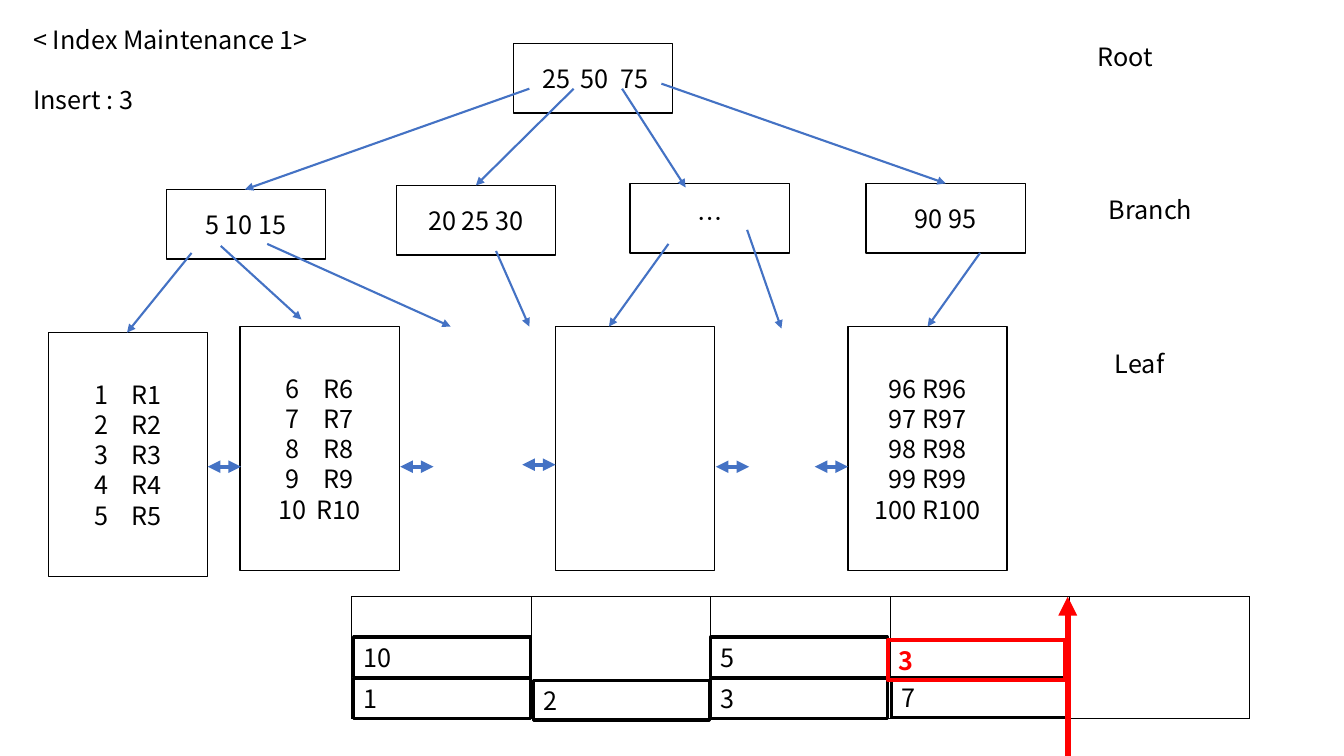
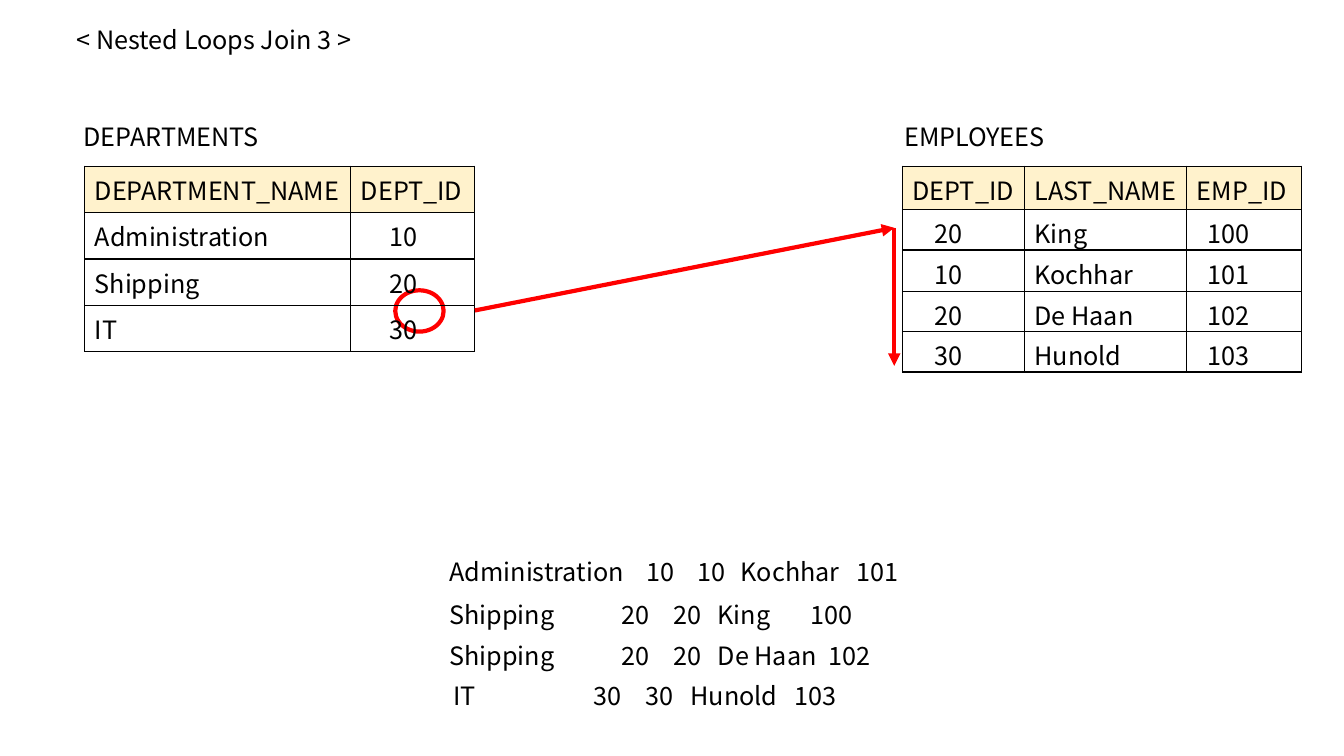
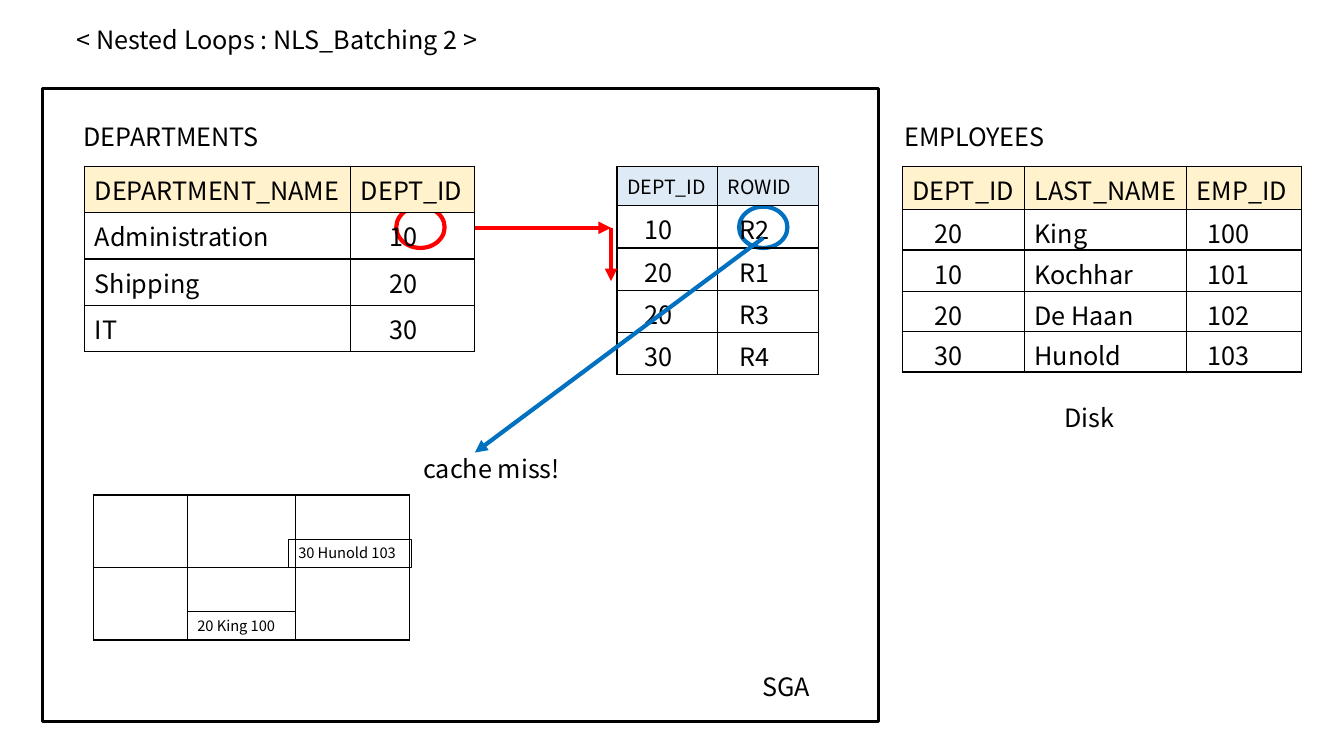
from lxml.etree import SubElement as Sub
from pptx import Presentation
from pptx.dml.color import RGBColor as RGB
from pptx.enum.shapes import MSO_CONNECTOR as Conn, MSO_SHAPE as Form
from pptx.enum.text import MSO_ANCHOR as Anchor, MSO_AUTO_SIZE as Auto, PP_ALIGN as Align
from pptx.oxml.ns import qn
from pptx.util import Pt

PX = 9144  # 100 px to the inch
FONT = "Noto Sans CJK KR"
BLACK = RGB(0x00, 0x00, 0x00)
WHITE = RGB(0xFF, 0xFF, 0xFF)
RED = RGB(0xFF, 0x00, 0x00)
BLUE = RGB(0x44, 0x72, 0xC4)
DEEP = RGB(0x00, 0x70, 0xC0)
CREAM = RGB(0xFF, 0xF2, 0xCC)
PALE = RGB(0xDE, 0xEB, 0xF7)


def box(slide, x, y, w, h, text="", line=None, pt=1, fill=None, size=18,
        ink=BLACK, mid=False, form=Form.RECTANGLE):
    """Draw a text box, or a shape when a line colour is given."""
    area = [n * PX for n in (x, y, w, h)]
    if line is None:
        shape = slide.shapes.add_textbox(*area)
    else:
        shape = slide.shapes.add_shape(form, *area)
        shape.shadow.inherit = False
        shape.line.color.rgb = line
        shape.line.width = Pt(pt)
        if fill is None:
            shape.fill.background()
        else:
            shape.fill.solid()
            shape.fill.fore_color.rgb = fill
    frame = shape.text_frame
    frame.word_wrap = True
    frame.vertical_anchor = Anchor.MIDDLE if mid else Anchor.TOP
    frame.text = text
    for para in frame.paragraphs:
        para.alignment = Align.CENTER if mid else Align.LEFT
        for run in para.runs:
            run.font.name, run.font.size = FONT, Pt(size)
            run.font.color.rgb = ink
    return shape


def grid(slide, x, y, cols, rows, data=(), head=None, small=18, pads=()):
    """Draw a ruled table; pads are the left insets of the body columns."""
    area = [n * PX for n in (x, y, sum(cols), sum(rows))]
    table = slide.shapes.add_table(len(rows), len(cols), *area).table
    table.first_row = table.horz_banding = False
    for col, w in zip(table.columns, cols):
        col.width = w * PX
    for row, h in zip(table.rows, rows):
        row.height = h * PX
    for r in range(len(rows)):
        for c in range(len(cols)):
            cell = table.cell(r, c)
            props = cell._tc.get_or_add_tcPr()
            for side in ("a:lnL", "a:lnR", "a:lnT", "a:lnB"):
                edge = Sub(props, qn(side), w=str(Pt(1)))
                paint = Sub(edge, qn("a:solidFill"))
                Sub(paint, qn("a:srgbClr"), val=str(BLACK))
            if head and r == 0:
                cell.fill.solid()
                cell.fill.fore_color.rgb = head
            else:
                cell.fill.background()
            if not data:
                continue
            cell.margin_left = (10 + (pads[c] if r else 0)) * PX
            cell.margin_right = cell.margin_bottom = 0
            cell.text = data[r][c]
            font = cell.text_frame.paragraphs[0].runs[0].font
            font.name, font.size = FONT, Pt(18 if r else small)
            font.color.rgb = BLACK


deck = Presentation()
deck.slide_width, deck.slide_height = 1333 * PX, 750 * PX

# Slides and their titles
slides = []
for x, name in ((23, "< Index Maintenance 1>"),
                (66, "< Nested Loops Join 3 >"),
                (66, "< Nested Loops : NLS_Batching 2 >")):
    slide = deck.slides.add_slide(deck.slide_layouts[5])
    title = slide.shapes.title
    title.left, title.top = x * PX, 19 * PX
    title.width, title.height = 484 * PX, 40 * PX
    frame = title.text_frame
    frame.text = name
    frame.auto_size = Auto.NONE
    frame.vertical_anchor = Anchor.TOP
    para = frame.paragraphs[0]
    para.alignment = Align.LEFT
    font = para.runs[0].font
    font.name, font.size = FONT, Pt(18)
    font.color.rgb = BLACK
    slides.append(slide)
tree, join, batch = slides

# Index tree: root and branches
box(tree, 23, 79, 484, 40, "Insert : 3")
for x, y, keys in ((509, 43, "25\t50\t75"), (165, 188, "5 10 15"),
                   (393, 184, "20 25 30"), (625, 182, "…"), (859, 182, "90 95")):
    node = box(tree, x, y, 158, 69, keys, BLACK, fill=WHITE, mid=True)
    if "\t" in keys:
        node.text_frame.margin_left = 29 * PX
        para = node.text_frame.paragraphs[0]
        para.alignment = Align.LEFT
        stops = Sub(para._p.get_or_add_pPr(), qn("a:tabLst"))
        for pos in (38, 77):
            Sub(stops, qn("a:tab"), pos=str(pos * PX), algn="l")

# Index tree: leaves, the first two numbered
for x, y, first, label in ((48, 330, 1, "R{}"), (238, 324, 6, "R{}"),
                           (551, 324, 0, ""), (841, 324, 96, "{0} R{0}")):
    rows = "\n".join(label.format(n) for n in range(first, first + 5)) if label else ""
    leaf = box(tree, x, y, 158, 242, rows, BLACK, fill=WHITE, mid=True)
    if label == "R{}":
        for para in leaf.text_frame.paragraphs:
            props = para._p.get_or_add_pPr()
            props.set("marL", "342900")
            props.set("indent", "-342900")
            Sub(props, qn("a:buFontTx"))
            Sub(props, qn("a:buAutoNum"), type="arabicPlain", startAt=str(first))

for x, y, level in ((1079, 36, "Root"), (1090, 188, "Branch"), (1096, 341, "Leaf")):
    box(tree, x, y, 151, 40, level)

# Data blocks with their rows
grid(tree, 349, 592, [178] * 5, [121])
for x, y, key in ((351, 673, "1"), (351, 632, "10"), (529, 675, "2"),
                  (705, 673, "3"), (705, 632, "5"), (884, 672, "7")):
    box(tree, x, y, 175, 40, key, BLACK, 2.25)
new = box(tree, 881, 635, 175, 40, "3", RED, 3, ink=RED)
new.text_frame.paragraphs[0].runs[0].font.bold = True

# Memory area and rings, behind the tables
box(batch, 42, 88, 829, 628, "", BLACK, 2.25, WHITE)
for slide, x, y, hue in ((join, 392, 288, RED), (batch, 733, 205, DEEP),
                         (batch, 393, 205, RED)):
    box(slide, x, y, 48, 41, "", hue, 3, WHITE, form=Form.OVAL)

# Tables on both join slides
depts = [("DEPARTMENT_NAME", "DEPT_ID"), ("Administration", "10"),
         ("Shipping", "20"), ("IT", "30")]
staff = [("DEPT_ID", "LAST_NAME", "EMP_ID"), ("20", "King", "100"),
         ("10", "Kochhar", "101"), ("20", "De Haan", "102"), ("30", "Hunold", "103")]
for slide in (join, batch):
    box(slide, 73, 115, 321, 40, "DEPARTMENTS")
    grid(slide, 84, 165, [264, 123], [46] * 4, depts, CREAM, pads=(0, 28))
    box(slide, 887, 115, 293, 40, "EMPLOYEES")
    grid(slide, 895, 165, [121, 161, 114], [43, 40, 41, 40, 40], staff, CREAM,
         pads=(22, 0, 11))

# Joined rows, each with its own tab stops
for x, y, stops, row in (
        (436, 547, (195, 246, 289, 404), "Administration\t10\t10\tKochhar\t101"),
        (436, 590, (171, 222, 266, 358), "Shipping\t20\t20\tKing\t100"),
        (436, 630, (171, 222, 266, 376), "Shipping\t20\t20\tDe Haan\t102"),
        (440, 670, (139, 190, 235, 338), "IT\t30\t30\tHunold\t103")):
    para = box(join, x, y, 518, 40, row).text_frame.paragraphs[0]
    tabs = Sub(para._p.get_or_add_pPr(), qn("a:tabLst"))
    for pos in stops:
        Sub(tabs, qn("a:tab"), pos=str(pos * PX), algn="l")

# Index and cache on the batching slide
index = [("DEPT_ID", "ROWID"), ("10", "R2"), ("20", "R1"), ("20", "R3"), ("30", "R4")]
grid(batch, 612, 165, [100, 100], [39] + [42] * 4, index, PALE, 14, (17, 11))
grid(batch, 93, 491, [93, 107, 113], [72, 72])
for x, y, w, row in ((186, 607, 107, "20 King 100"), (286, 535, 122, "30 Hunold 103")):
    box(batch, x, y, w, 28, row, BLACK, 0.75, size=10.5)
for x, y, note in ((410, 445, "cache miss!"), (746, 661, "SGA"), (1046, 394, "Disk")):
    box(batch, x, y, 160, 40, note)

# Arrows: tree pointers, leaf chain, then scans and lookups
links = [(tree, *ends, BLUE, 1.5) for ends in (
    (525, 88, 243, 188), (569, 88, 472, 184), (617, 88, 680, 186), (656, 83, 938, 182),
    (190, 251, 126, 330), (219, 244, 299, 317), (265, 242, 447, 324),
    (492, 249, 525, 324), (663, 242, 604, 324), (741, 228, 775, 326),
    (972, 251, 920, 324))]
links += [(tree, x, y, x + 33, y, BLUE, 3) for x, y in (
    (206, 463), (397, 463), (518, 461), (710, 463), (808, 463))]
links += [
    (tree, 1059, 750, 1059, 592, RED, 4.5),
    (join, 471, 308, 887, 226, RED, 3),
    (join, 887, 226, 887, 363, RED, 3),
    (batch, 471, 226, 606, 226, RED, 3),
    (batch, 606, 226, 606, 279, RED, 3),
    (batch, 757, 236, 471, 449, DEEP, 3)]
for slide, x, y, to_x, to_y, hue, pt in links:
    link = slide.shapes.add_connector(
        Conn.STRAIGHT, x * PX, y * PX, to_x * PX, to_y * PX)
    link.line.color.rgb = hue
    link.line.width = Pt(pt)
    edge = link.line._get_or_add_ln()
    if hue == BLUE and pt == 3:
        Sub(edge, qn("a:headEnd"), type="triangle")
    Sub(edge, qn("a:tailEnd"), type="triangle")
    Sub(link._element.spPr, qn("a:effectLst"))

deck.save("out.pptx")
